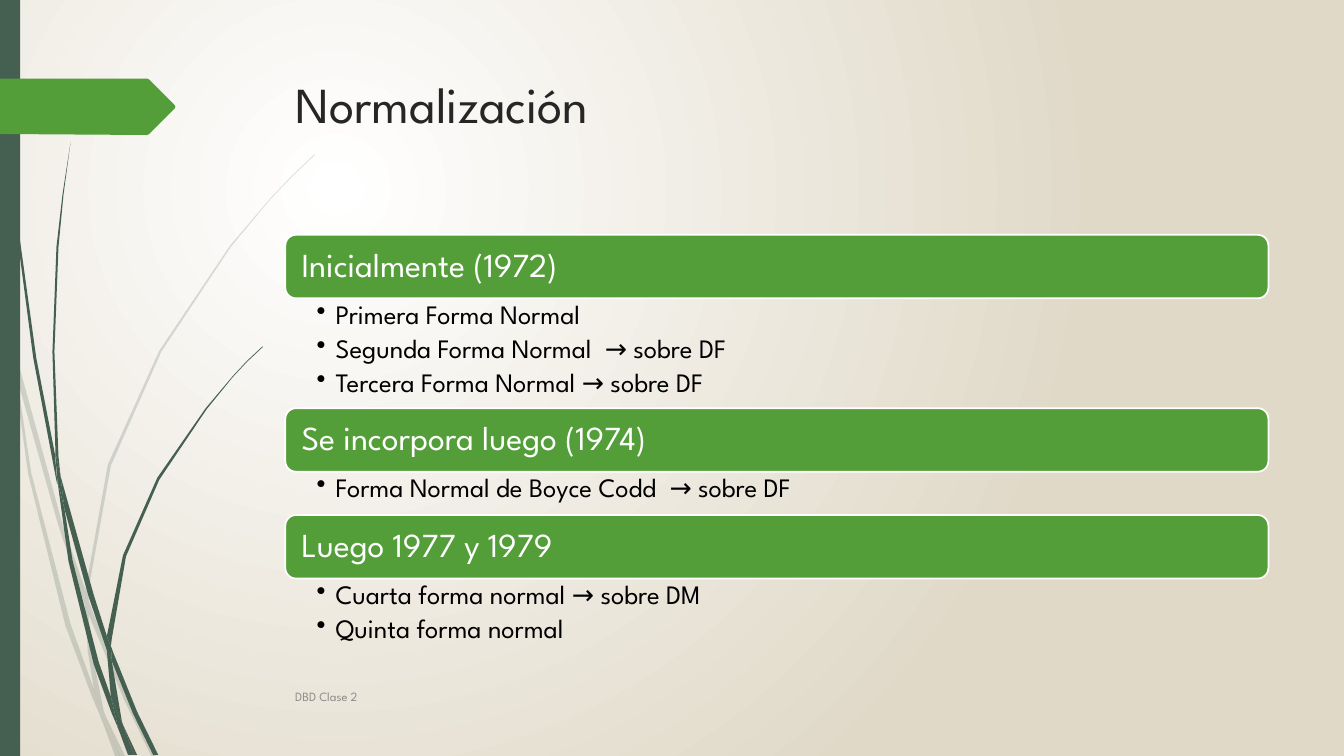
import pptx
import pptx.dml.color
import pptx.enum.shapes
import pptx.enum.text
import pptx.oxml.ns
import pptx.util
from lxml import etree

RGB = pptx.dml.color.RGBColor
PINE, GREEN = RGB(0x45, 0x5F, 0x51), RGB(0x54, 0x9E, 0x39)
WHITE, SAND, BLACK = RGB(0xFF, 0xFF, 0xFF), RGB(0xE0, 0xD9, 0xC8), RGB(0, 0, 0)
INK, GREY = RGB(0x26, 0x26, 0x26), RGB(0x8C, 0x8C, 0x8C)
FONT = "League Spartan"
W, H = 13.33, 7.5
LEFT, WIDTH = 2.83, 9.75  # content column
BAR_H = 0.63
TOP = pptx.enum.text.MSO_ANCHOR.TOP
MIDDLE = pptx.enum.text.MSO_ANCHOR.MIDDLE
SHAPE = pptx.enum.shapes.MSO_SHAPE
inch = pptx.util.Inches
qn = pptx.oxml.ns.qn

# Outlines: x y pairs in hundredths of an inch
PALE_BLADES = [
    "11 350 9 322 0 282 0 299 10 344",
    "58 522 84 599 85 586 62 520 14 345 17 376",
    "92 607 88 596 88 610 123 694 150 750 155 750 127 692",
    "119 750 124 750 105 711",
    "93 683 70 619 31 469 17 376 11 350 28 470 65 621 92 693 101 714 99 707",
    "84 599 87 646 93 683 96 692 105 711 103 706 91 646 88 610 88 608",
    "88 584 110 462 160 349 229 245 268 198 290 175 312 154 312 153 289 175 "
    "268 197 228 244 158 348 107 461 85 584 85 586 88 596",
    "101 714 114 750 119 750",
    "88 608 88 610 88 596 85 586 84 599",
    "96 692 93 683 99 707 101 714 119 750 105 711",
]
DARK_BLADES = [
    "7 110 17 233 33 355 56 477 57 481 55 457 55 453 36 355 19 232 8 109 5 48 4 0 3 0 4 48",
    "88 592 106 645 106 633 106 631 93 590 60 472 64 505",
    "113 649 110 641 111 656 132 708 152 749 157 749 136 706",
    "110 691 98 657 72 556 64 505 57 477 68 557 93 659 111 708 117 722 116 717",
    "60 472 58 453 54 349 58 245 63 193 70 141 62 193 56 245 52 349 55 449",
    "133 749 136 749 122 719",
    "57 477 64 505 60 472 55 449 55 453",
    "111 633 125 552 158 476 205 406 231 374 245 359 261 344 260 344 245 358 "
    "231 373 204 405 156 474 122 551 106 631 110 641",
    "117 722 127 749 131 749",
    "106 645 110 691 116 706 122 719 121 716 111 656 109 651",
    "106 645 109 651 111 656 110 641 106 631 106 633",
    "116 706 110 691 116 717 117 722 130 749 133 749 122 719",
]
TAB = "0 78 146 78 148 79 173 104 174 106 173 108 148 133 146 134 0 133"

# Heading, height of its list, list items
SECTIONS = [
    ("Inicialmente (1972)", 1.09,
     ["Primera Forma Normal", "Segunda Forma Normal  → sobre DF",
      "Tercera Forma Normal → sobre DF"]),
    ("Se incorpora luego (1974)", 0.43, ["Forma Normal de Boyce Codd  → sobre DF"]),
    ("Luego 1977 y 1979", 0.72, ["Cuarta forma normal → sobre DM", "Quinta forma normal"]),
]


def paint(sp, fill):
    sp.shadow.inherit = False
    sp.fill.solid()
    sp.fill.fore_color.rgb = fill
    sp.line.fill.background()


def outline(shapes, points, fill, alpha=None):
    xy = [int(n) for n in points.split()]
    pts = list(zip(xy[::2], xy[1::2]))
    fb = shapes.build_freeform(*pts[0], scale=inch(0.01))
    fb.add_line_segments(pts[1:], close=True)
    sp = fb.convert_to_shape()
    paint(sp, fill)
    if alpha:
        clr = sp._element.spPr.find(".//" + qn("a:srgbClr"))
        etree.SubElement(clr, qn("a:alpha"), val=str(alpha * 1000))


def write(sp, lines, size, color, anchor, insets=(0.1, 0.05, 0.1, 0.05)):
    tf = sp.text_frame
    margins = zip(("left", "top", "right", "bottom"), insets)
    frame = {"word_wrap": True, "vertical_anchor": anchor}
    frame.update({"margin_" + side: inch(v) for side, v in margins})
    for name, value in frame.items():
        setattr(tf, name, value)
    for i, line in enumerate(lines):
        p = tf.paragraphs[0] if i == 0 else tf.add_paragraph()
        p.alignment = pptx.enum.text.PP_ALIGN.LEFT
        r = p.add_run()
        r.text = line
        for name, value in {"name": FONT, "size": pptx.util.Pt(size)}.items():
            setattr(r.font, name, value)
        r.font.color.rgb = color
    return tf


def text_box(s, x, y, w, h, *text):
    sp = s.shapes.add_textbox(inch(x), inch(y), inch(w), inch(h))
    return write(sp, *text)


def background(s):
    fill = s.background.fill
    fill.gradient()
    for stop, color in zip(fill.gradient_stops, (WHITE, SAND)):
        stop.color.rgb = color
    # Circular gradient centred at a quarter of the slide
    grad = s._element.find(".//" + qn("a:gradFill"))
    grad.remove(grad.find(qn("a:lin")))
    circle = etree.SubElement(grad, qn("a:path"), path="circle")
    etree.SubElement(circle, qn("a:fillToRect"),
                     l="50000", t="50000", r="100000", b="100000")


def decoration(s):
    for blades, alpha in ((PALE_BLADES, 20), (DARK_BLADES, None)):
        group = s.shapes.add_group_shape()
        for points in blades:
            outline(group.shapes, points, PINE, alpha)
    strip = s.shapes.add_shape(SHAPE.RECTANGLE, 0, 0, inch(0.2), inch(H))
    paint(strip, PINE)
    outline(s.shapes, TAB, GREEN)


def section(s, x, y, w, list_h, heading, items):
    # Heading bar
    bar = s.shapes.add_shape(SHAPE.ROUNDED_RECTANGLE, inch(x), inch(y), inch(w), inch(BAR_H))
    paint(bar, GREEN)
    bar.line.color.rgb = WHITE
    bar.line.width = pptx.util.Pt(1.25)
    write(bar, [heading], 24, WHITE, MIDDLE, (0.13, 0.1, 0.13, 0.1)).paragraphs[0].line_spacing = 0.9
    # Bulleted list
    tf = text_box(s, x, y + BAR_H, w, list_h, items, 19, BLACK, TOP, (0.31, 0.03, 0.19, 0.03))
    for p in tf.paragraphs:
        p.line_spacing = 0.9
        pPr = p._p.get_or_add_pPr()
        pPr.set("marL", str(inch(0.19)))
        pPr.set("indent", str(-inch(0.19)))
        after = etree.SubElement(pPr, qn("a:spcAft"))
        etree.SubElement(after, qn("a:spcPct"), val="20000")
        etree.SubElement(pPr, qn("a:buChar"), char="•")


def main():
    prs = pptx.Presentation()
    prs.slide_width, prs.slide_height = inch(W), inch(H)
    s = prs.slides.add_slide(prs.slide_layouts[6])
    background(s)
    decoration(s)
    text_box(s, LEFT, 0.68, WIDTH, 1.4, ["Normalización"], 36, INK, TOP)
    y = 2.33
    for heading, list_h, items in SECTIONS:
        section(s, LEFT, y, WIDTH, list_h, heading, items)
        y += BAR_H + list_h
    text_box(s, LEFT, 6.71, 8.33, 0.4, ["DBD Clase 2"], 9, GREY, MIDDLE)
    prs.save("out.pptx")


if __name__ == "__main__":
    main()
